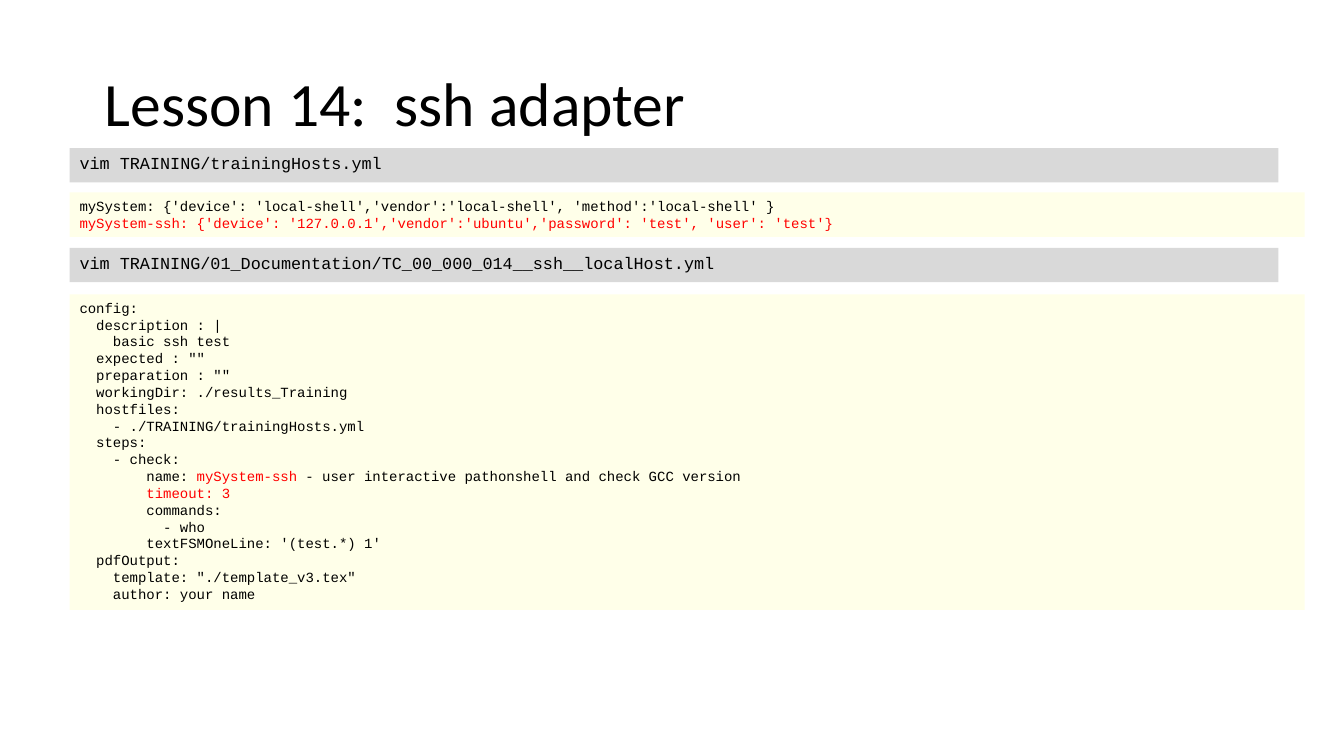
from pptx import Presentation
from pptx.dml.color import RGBColor
from pptx.enum.shapes import MSO_SHAPE as Shape
from pptx.enum.text import MSO_ANCHOR as Anchor, MSO_AUTO_SIZE as AutoSize, PP_ALIGN as Align
from pptx.util import Inches, Pt

BLACK, RED, GREY, CREAM = "000000", "FF0000", "D9D9D9", "FFFFE9"
LEFT = 0.69
COMMAND_WIDTH, COMMAND_HEIGHT = 11.99, 0.34
CODE_WIDTH = 12.25
MARK = "§"  # switches between black and red inside a code line

HOSTS = """mySystem: {'device': 'local-shell','vendor':'local-shell', 'method':'local-shell' }
§mySystem-ssh: {'device': '127.0.0.1','vendor':'ubuntu','password': 'test', 'user': 'test'}"""

TEST_CASE = """config:
  description : |
    basic ssh test
  expected : ""
  preparation : ""
  workingDir: ./results_Training
  hostfiles:
    - ./TRAINING/trainingHosts.yml
  steps:
    - check:
        name: §mySystem-ssh§ - user interactive pathonshell and check GCC version
§        timeout: 3
        commands:
          - who
        textFSMOneLine: '(test.*) 1'
  pdfOutput:
    template: "./template_v3.tex"
    author: your name"""


def color(value):
    return RGBColor.from_string(value)


def style(run, font, size, ink):
    run.font.name = font
    run.font.size = Pt(size)
    run.font.color.rgb = color(ink)


def add_title(slide, text):
    title = slide.shapes.add_textbox(Inches(0.94), Inches(0.33), Inches(11.5), Inches(1.45))
    frame = title.text_frame
    frame.word_wrap = True
    frame.vertical_anchor = Anchor.MIDDLE
    frame.text = text
    frame.paragraphs[0].line_spacing = 0.9
    style(frame.paragraphs[0].runs[0], "Calibri", 44, BLACK)


def add_panel(slide, top, width, height, fill, code, size):
    """Add a filled bar with monospaced lines and return its text frame."""
    panel = slide.shapes.add_shape(
        Shape.RECTANGLE, Inches(LEFT), Inches(top), Inches(width), Inches(height))
    panel.shadow.inherit = False
    panel.fill.solid()
    panel.fill.fore_color.rgb = color(fill)
    panel.line.fill.background()
    frame = panel.text_frame
    frame.word_wrap = True
    frame.vertical_anchor = Anchor.TOP
    for index, line in enumerate(code.split("\n")):
        paragraph = frame.paragraphs[0] if index == 0 else frame.add_paragraph()
        paragraph.alignment = Align.LEFT
        for part, text in enumerate(line.split(MARK)):
            if text:
                run = paragraph.add_run()
                run.text = text
                style(run, "Courier New", size, RED if part % 2 else BLACK)
    return frame


def add_command(slide, top, command):
    add_panel(slide, top, COMMAND_WIDTH, COMMAND_HEIGHT, GREY, command, 12)


def add_listing(slide, top, height, code):
    frame = add_panel(slide, top, CODE_WIDTH, height, CREAM, code, 10)
    frame.auto_size = AutoSize.SHAPE_TO_FIT_TEXT


def main():
    deck = Presentation()
    deck.slide_width, deck.slide_height = Inches(13.33), Inches(7.5)
    slide = deck.slides.add_slide(deck.slide_layouts[6])
    add_title(slide, "Lesson 14:  ssh adapter")
    add_command(slide, 1.47, "vim TRAINING/trainingHosts.yml")
    add_listing(slide, 1.91, 0.44, HOSTS)
    add_command(slide, 2.46, "vim TRAINING/01_Documentation/TC_00_000_014__ssh__localHost.yml")
    add_listing(slide, 2.92, 3.13, TEST_CASE)
    deck.save("out.pptx")


if __name__ == "__main__":
    main()
